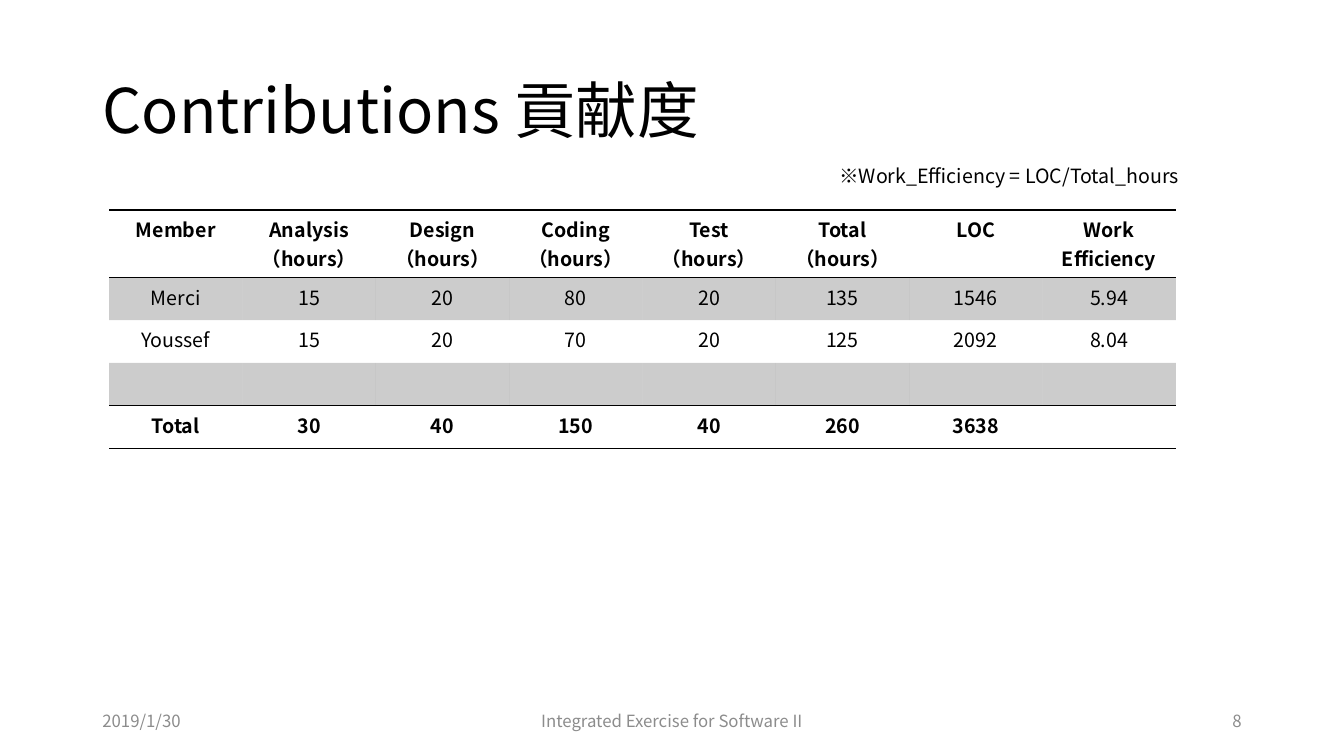
import dataclasses

import lxml.etree
import pptx
import pptx.dml.color
import pptx.enum.text
import pptx.oxml.ns
import pptx.util

Cm = pptx.util.Cm
Pt = pptx.util.Pt
qn = pptx.oxml.ns.qn
RGB = pptx.dml.color.RGBColor.from_string
ALIGN = pptx.enum.text.PP_ALIGN
ANCHOR = pptx.enum.text.MSO_ANCHOR
AUTO = pptx.enum.text.MSO_AUTO_SIZE


@dataclasses.dataclass(frozen=True)
class Theme:
    font: str = "Noto Sans CJK JP"
    ink: str = "000000"
    muted: str = "8C8C8C"
    band_alpha: int = 20
    title_pt: int = 44
    text_pt: int = 14
    footer_pt: int = 12
    rule_pt: int = 1
    plain_table: str = "{2D5ABB26-0587-4C30-8999-92F81FD0307C}"


class SlideBuilder:
    def __init__(self, s, theme):
        self.s = s
        self.theme = theme

    def run(self, p, text, size, color=None, bold=False):
        r = p.add_run()
        r.text = text
        r.font.name = self.theme.font
        r.font.size = Pt(size)
        r.font.bold = bold
        r.font.color.rgb = RGB(color or self.theme.ink)
        # East Asian glyphs use the same typeface
        ea = lxml.etree.Element(qn("a:ea"), typeface=self.theme.font)
        r.font._element.find(qn("a:latin")).addnext(ea)

    def title(self, text, left, top, width, height):
        sp = self.s.shapes.title
        sp.left, sp.top, sp.width, sp.height = map(Cm, (left, top, width, height))
        tf = sp.text_frame
        tf.vertical_anchor = ANCHOR.MIDDLE
        tf.auto_size = AUTO.NONE
        p = tf.paragraphs[0]
        p.alignment = ALIGN.LEFT
        p.line_spacing = 0.9
        self.run(p, text, self.theme.title_pt)

    def textbox(self, text, left, top, width, height, size, color,
                align=ALIGN.LEFT, anchor=ANCHOR.TOP, fit=False):
        sp = self.s.shapes.add_textbox(*map(Cm, (left, top, width, height)))
        tf = sp.text_frame
        tf.word_wrap = not fit
        tf.auto_size = AUTO.SHAPE_TO_FIT_TEXT if fit else AUTO.NONE
        tf.vertical_anchor = anchor
        p = tf.paragraphs[0]
        p.alignment = align
        self.run(p, text, size, color)

    def rule(self, cell, side):
        ln = lxml.etree.SubElement(cell._tc.get_or_add_tcPr(), qn(side),
                                   w=str(Pt(self.theme.rule_pt)))
        fill = lxml.etree.SubElement(ln, qn("a:solidFill"))
        lxml.etree.SubElement(fill, qn("a:srgbClr"), val=self.theme.ink)

    def band(self, cell):
        cell.fill.solid()
        cell.fill.fore_color.rgb = RGB(self.theme.ink)
        color = cell._tc.tcPr.find(".//" + qn("a:srgbClr"))
        lxml.etree.SubElement(color, qn("a:alpha"),
                              val=str(self.theme.band_alpha * 1000))

    def cell(self, cell, text, strong, banded):
        tf = cell.text_frame
        for i, line in enumerate(text.split("\n")):
            p = tf.add_paragraph() if i else tf.paragraphs[0]
            p.alignment = ALIGN.CENTER
            if line:
                self.run(p, line, self.theme.text_pt, bold=strong)
            else:
                lxml.etree.SubElement(p._p, qn("a:endParaRPr"),
                                      sz=str(self.theme.text_pt * 100))
        if strong:
            self.rule(cell, "a:lnT")
            self.rule(cell, "a:lnB")
        if banded:
            self.band(cell)
        else:
            cell.fill.background()

    def table(self, rows, left, top, col_width, row_heights):
        n_cols = len(rows[0])
        frame = self.s.shapes.add_table(
            len(rows), n_cols, Cm(left), Cm(top),
            Cm(col_width * n_cols), Cm(sum(row_heights)))
        table = frame.table
        table._tbl.tblPr.find(qn("a:tableStyleId")).text = self.theme.plain_table
        for column in table.columns:
            column.width = Cm(col_width)
        last = len(rows) - 1
        for i, row in enumerate(rows):
            table.rows[i].height = Cm(row_heights[i])
            for j, text in enumerate(row):
                # Header and total are ruled; odd rows are shaded
                self.cell(table.cell(i, j), text, i in (0, last), i % 2 == 1)


def main():
    prs = pptx.Presentation()
    prs.slide_width, prs.slide_height = Cm(33.87), Cm(19.05)
    theme = Theme()
    slide = SlideBuilder(prs.slides.add_slide(prs.slide_layouts[5]), theme)

    # Title
    slide.title("Contributions 貢献度", 2.33, 1.01, 29.21, 3.68)

    # Contribution table
    phases = [f"{name}\n（hours）"
              for name in ("Analysis", "Design", "Coding", "Test", "Total")]
    rows = [
        ["Member", *phases, "LOC", "Work Efficiency"],
        ["Merci", "15", "20", "80", "20", "135", "1546", "5.94"],
        ["Youssef", "15", "20", "70", "20", "125", "2092", "8.04"],
        [""] * 8,
        ["Total", "30", "40", "150", "40", "260", "3638", ""],
    ]
    slide.table(rows, 2.75, 5.29, 3.36, [1.69] + [1.08] * 4)

    # Formula note
    slide.textbox("※Work_Efficiency = LOC/Total_hours", 20.9, 4.01, 9.3, 0.86,
                  theme.text_pt, theme.ink, fit=True)

    # Footer
    for text, left, width, align in (
            ("2019/1/30", 2.33, 7.62, ALIGN.LEFT),
            ("Integrated Exercise for Software II", 11.22, 11.43, ALIGN.CENTER),
            ("8", 23.92, 7.62, ALIGN.RIGHT)):
        slide.textbox(text, left, 17.66, width, 1.01, theme.footer_pt,
                      theme.muted, align, ANCHOR.MIDDLE)

    prs.save("out.pptx")


if __name__ == "__main__":
    main()
